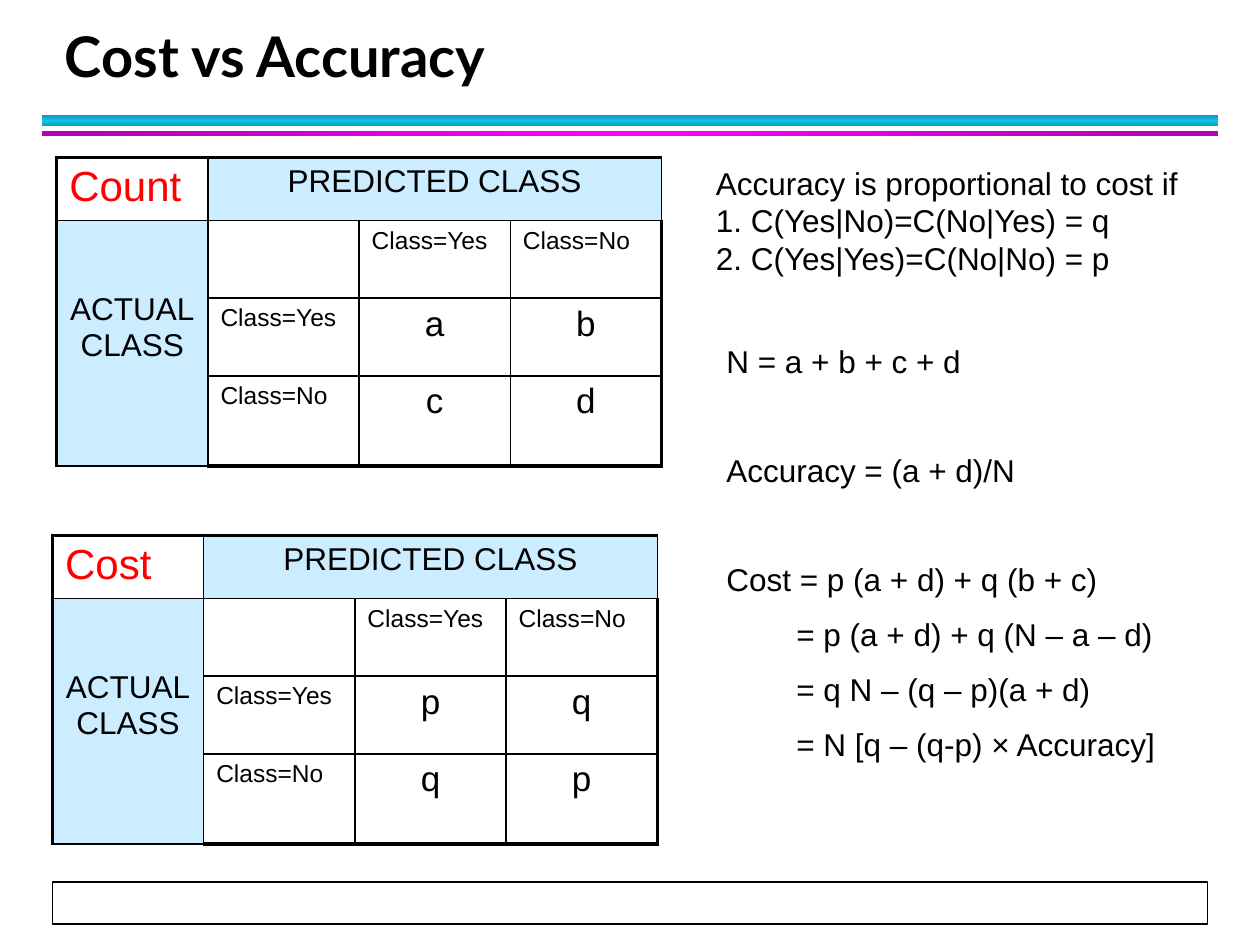
from copy import deepcopy

from lxml import etree
from pptx import Presentation
from pptx.dml.color import RGBColor
from pptx.enum.shapes import MSO_SHAPE
from pptx.enum.text import MSO_ANCHOR, PP_ALIGN
from pptx.oxml.ns import qn
from pptx.util import Inches, Pt

RECTANGLE = MSO_SHAPE.RECTANGLE
LEFT, CENTER = PP_ALIGN.LEFT, PP_ALIGN.CENTER
TOP, BOTTOM = MSO_ANCHOR.TOP, MSO_ANCHOR.BOTTOM
BLACK, WHITE, RED, PALE_BLUE = "000000", "FFFFFF", "FF0000", "CCECFF"
COLUMN_WIDTHS = [14.4] * 4
ROW_HEIGHTS = [6, 7.4, 7.4, 8.6]
LINE_GAP, GROUP_GAP = 9.9, 40.5
EQUATIONS = [
    ("N = a + b + c + d", 0, 0),
    ("Accuracy = (a + d)/N", GROUP_GAP, 0),
    ("Cost = p (a + d) + q (b + c)", GROUP_GAP, 0),
    ("= p (a + d) + q (N – a – d)", LINE_GAP, 40),
    ("= q N – (q – p)(a + d)", LINE_GAP, 40),
    ("= N [q – (q-p) × Accuracy]", LINE_GAP, 40),
]


def grid(*units):
    """Turn grid units, twelve to the inch, into lengths."""
    return [Inches(unit / 12) for unit in units]


def color(value):
    """Return the colour for a hex string."""
    return RGBColor.from_string(value)


def format_text(frame, size, ink=BLACK, align=LEFT, font="Arial", bold=False):
    """Give every paragraph and run of a text frame the same look."""
    for para in frame.paragraphs:
        para.alignment = align
        for span in para.runs:
            span.font.name = font
            span.font.size = Pt(size)
            span.font.bold = bold
            span.font.color.rgb = color(ink)


def add_text(page, place, text, anchor=TOP):
    """Add a wrapping text box and return its text frame."""
    frame = page.shapes.add_textbox(*grid(*place)).text_frame
    frame.word_wrap = True
    frame.vertical_anchor = anchor
    frame.text = text
    return frame


def add_rectangle(page, place):
    """Add a plain rectangle without a shadow or outline."""
    box = page.shapes.add_shape(RECTANGLE, *grid(*place))
    box.shadow.inherit = False
    box.line.fill.background()
    return box


def add_band(page, place, edge, middle, angle):
    """Add a rectangle shaded from its edges to its middle."""
    fill = add_rectangle(page, place).fill
    fill.gradient()
    fill.gradient_angle = angle
    first, second = fill.gradient_stops
    first.color.rgb, second.color.rgb = color(edge), color(middle)
    first.position, second.position = 0, 0.5
    stops = fill._xPr.find(qn("a:gradFill")).find(qn("a:gsLst"))
    last = deepcopy(stops[0])
    last.set("pos", "100000")
    stops.append(last)


def add_footer(page, place):
    """Add the empty outlined footer bar."""
    box = add_rectangle(page, place)
    box.fill.solid()
    box.fill.fore_color.rgb = color(WHITE)
    box.line.color.rgb = color(BLACK)
    box.line.width = Pt(1)


def set_borders(cell, row, column):
    """Draw thick lines on the outer edges and thin ones inside."""
    outer = {"L": column == 0, "R": column == 3, "T": row == 0, "B": row == 3}
    for side, thick in outer.items():
        line = etree.SubElement(cell._tc.get_or_add_tcPr(), qn(f"a:ln{side}"))
        line.set("w", str(Pt(2.25 if thick else 1)))
        fill = etree.SubElement(line, qn("a:solidFill"))
        etree.SubElement(fill, qn("a:srgbClr")).set("val", BLACK)


def fill_cell(cell, text, size, ink=BLACK, align=LEFT, fill=None):
    """Write a cell's text and set its fill."""
    cell.text = text
    format_text(cell.text_frame, size, ink, align)
    if fill:
        cell.fill.solid()
        cell.fill.fore_color.rgb = color(fill)
    else:
        cell.fill.background()


def add_matrix(page, left, top, name, values):
    """Add a two-class matrix of actual against predicted classes."""
    place = grid(left, top, sum(COLUMN_WIDTHS), sum(ROW_HEIGHTS))
    table = page.shapes.add_table(4, 4, *place).table
    for column, width in zip(table.columns, grid(*COLUMN_WIDTHS)):
        column.width = width
    for row, height in zip(table.rows, grid(*ROW_HEIGHTS)):
        row.height = height
    for row in range(4):
        for column in range(4):
            cell = table.cell(row, column)
            set_borders(cell, row, column)
            fill_cell(cell, "", 18)
    table.cell(0, 1).merge(table.cell(0, 3))
    table.cell(1, 0).merge(table.cell(3, 0))
    fill_cell(table.cell(0, 0), name, 24, RED)
    fill_cell(table.cell(0, 1), "PREDICTED CLASS", 18, align=CENTER, fill=PALE_BLUE)
    actual = table.cell(1, 0)
    fill_cell(actual, "ACTUAL\vCLASS", 18, align=CENTER, fill=PALE_BLUE)
    actual.margin_top = Inches(0.57)
    for index, label in enumerate(("Class=Yes", "Class=No"), start=2):
        fill_cell(table.cell(1, index), label, 14)
        fill_cell(table.cell(index, 1), label, 14)
    for index, value in enumerate(values):
        fill_cell(table.cell(2 + index // 2, 2 + index % 2), value, 20, align=CENTER)


def add_equations(page, place):
    """Add the derivation of cost from accuracy."""
    frame = add_text(page, place, "\n".join(text for text, _, _ in EQUATIONS))
    for para, (_, gap, indent) in zip(frame.paragraphs, EQUATIONS):
        para.space_before = Pt(gap)
        properties = para._p.get_or_add_pPr()
        properties.set("marL", str(Pt(indent)))
        properties.set("indent", "0")
    format_text(frame, 18)


def main():
    """Build the slide and save it."""
    deck = Presentation()
    deck.slide_width, deck.slide_height = grid(120, 90)
    page = deck.slides.add_slide(deck.slide_layouts[6])
    add_band(page, (4, 11, 112, 1), "0E9BBA", "12C2E9", 90)
    add_band(page, (4, 12.5, 112, 0.5), "B200B2", "FF00FF", 0)
    add_footer(page, (5, 84, 110, 4))
    title = add_text(page, (5, 2, 108.7, 7), "Cost vs Accuracy", BOTTOM)
    title.paragraphs[0].line_spacing = 1.12
    format_text(title, 32, font="Lato", bold=True)
    add_matrix(page, 5.4, 15, "Count", "abcd")
    add_matrix(page, 5, 51, "Cost", "pqqp")
    add_equations(page, (68, 32, 47, 48))
    conditions = add_text(
        page,
        (67, 15, 49, 12),
        "Accuracy is proportional to cost if\v"
        "1. C(Yes|No)=C(No|Yes) = q\v2. C(Yes|Yes)=C(No|No) = p",
    )
    format_text(conditions, 18)
    deck.save("out.pptx")


if __name__ == "__main__":
    main()
